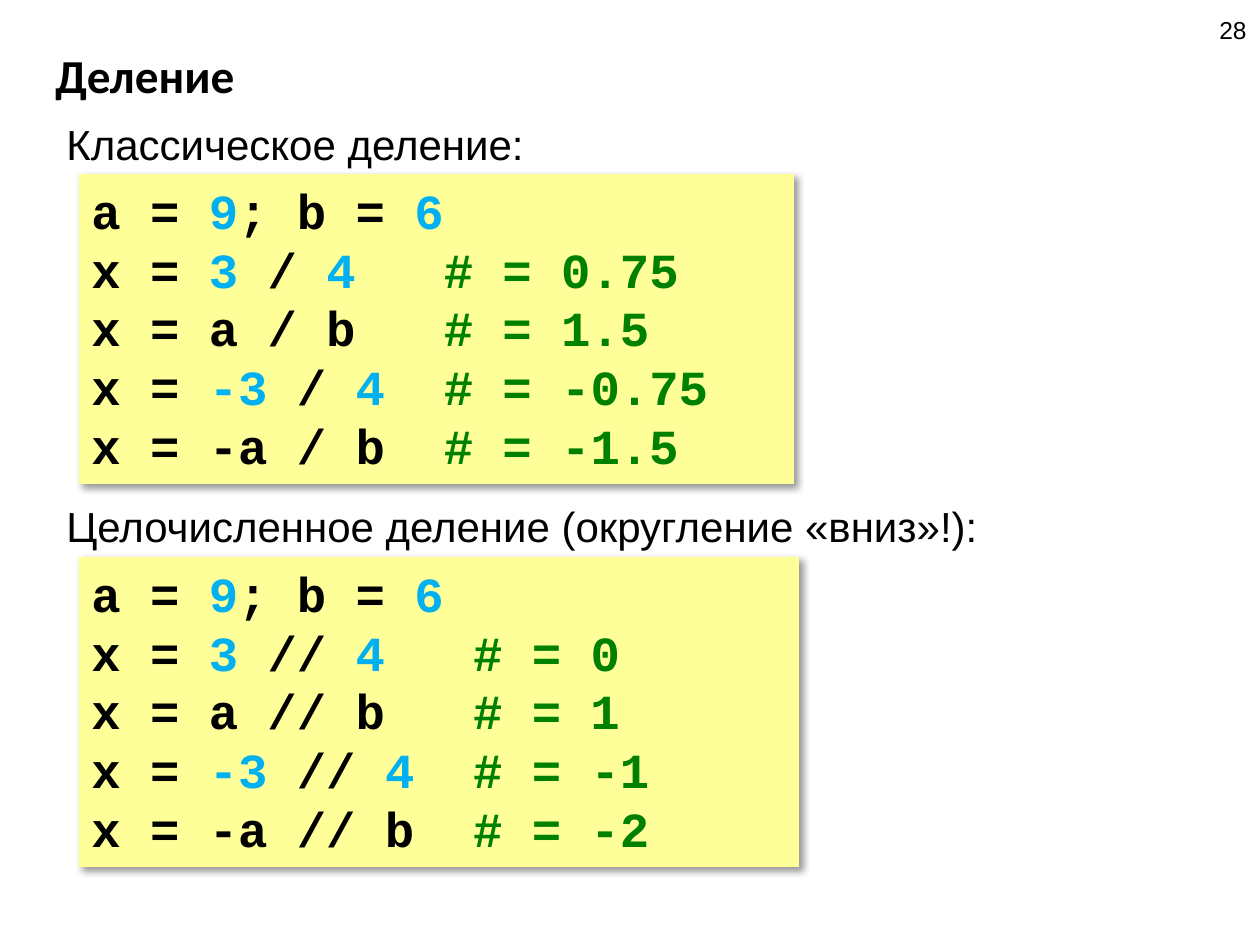
"""Build the slide on classic and integer division."""
import pptx
import pptx.util
import pptx.dml.color
import pptx.enum.shapes
import pptx.enum.text
import pptx.oxml

PX = 914400 // 126
INK, NUM, NOTE, PALE = "000000", "00B0F0", "008000", "FFFF99"
ALIGN = pptx.enum.text.PP_ALIGN
ANCHOR = pptx.enum.text.MSO_ANCHOR

# text, box, size, font, bold, alignment, anchor
LABELS = [
    ("Деление", (43, 42, 1154, 66), 27, "Calibri", True, ALIGN.LEFT, ANCHOR.MIDDLE),
    ("28", (965, -3, 294, 66), 14, "Arial", False, ALIGN.RIGHT, ANCHOR.MIDDLE),
    ("Классическое деление:", (54, 112, 713, 64), 24, "Arial", False, ALIGN.LEFT, ANCHOR.TOP),
    ("Целочисленное деление (округление «вниз»!):", (54, 494, 1152, 64), 24, "Arial", False,
     ALIGN.LEFT, ANCHOR.TOP),
]
CODES = [
    ((79, 174, 715, 310), [
        "a = |9|; b = |6",
        "x = |3| / |4   |# = 0.75",
        "x = a / b   |# = 1.5",
        "x = |-3| / |4  |# = -0.75",
        "x = -a / b  |# = -1.5",
    ]),
    ((79, 557, 720, 310), [
        "a = |9|; b = |6",
        "x = |3| // |4   |# = 0",
        "x = a // b   |# = 1",
        "x = |-3| // |4  |# = -1",
        "x = -a // b  |# = -2",
    ]),
]
SHADE = (
    '<a:outerShdw xmlns:a="http://schemas.openxmlformats.org/drawingml/2006/main" '
    'blurRad="50800" dist="38100" dir="2700000" algn="tl" rotWithShape="0">'
    '<a:srgbClr val="000000"><a:alpha val="40000"/></a:srgbClr></a:outerShdw>'
)


def color(code):
    return pptx.dml.color.RGBColor.from_string(code)


def place(box):
    return [n * PX for n in box]


def style(font, size, face, bold):
    font.size = pptx.util.Pt(size)
    font.name = face
    font.bold = bold


def tint(part):
    if part.startswith("#"):
        return NOTE
    return NUM if part.strip(" -").isdigit() else INK


def label(slide, text, box, size, face, bold, align, anchor):
    frame = slide.shapes.add_textbox(*place(box)).text_frame
    frame.word_wrap = True
    frame.vertical_anchor = anchor
    para = frame.paragraphs[0]
    para.text = text
    para.alignment = align
    style(para.font, size, face, bold)
    para.font.color.rgb = color(INK)


def listing(slide, box, lines):
    shape = slide.shapes.add_shape(pptx.enum.shapes.MSO_SHAPE.RECTANGLE, *place(box))
    shape.fill.solid()
    shape.fill.fore_color.rgb = color(PALE)
    shape.line.fill.background()
    shape.shadow.inherit = False
    effects = shape._element.spPr.find(pptx.oxml.ns.qn("a:effectLst"))
    effects.append(pptx.oxml.parse_xml(SHADE))
    frame = shape.text_frame
    frame.word_wrap = True
    frame.vertical_anchor = ANCHOR.TOP
    for i, line in enumerate(lines):
        para = frame.add_paragraph() if i else frame.paragraphs[0]
        props = para._p.get_or_add_pPr()
        props.set("marL", str(25 * PX))
        props.set("indent", str(-25 * PX))
        para.alignment = ALIGN.JUSTIFY
        style(para.font, 28, "Courier New", True)
        for part in line.split("|"):
            run = para.add_run()
            run.text = part
            run.font.color.rgb = color(tint(part))


def main():
    deck = pptx.Presentation()
    deck.slide_width, deck.slide_height = place((1260, 945))
    slide = deck.slides.add_slide(deck.slide_layouts[6])
    for item in LABELS:
        label(slide, *item)
    for box, lines in CODES:
        listing(slide, box, lines)
    deck.save("out.pptx")


if __name__ == "__main__":
    main()
